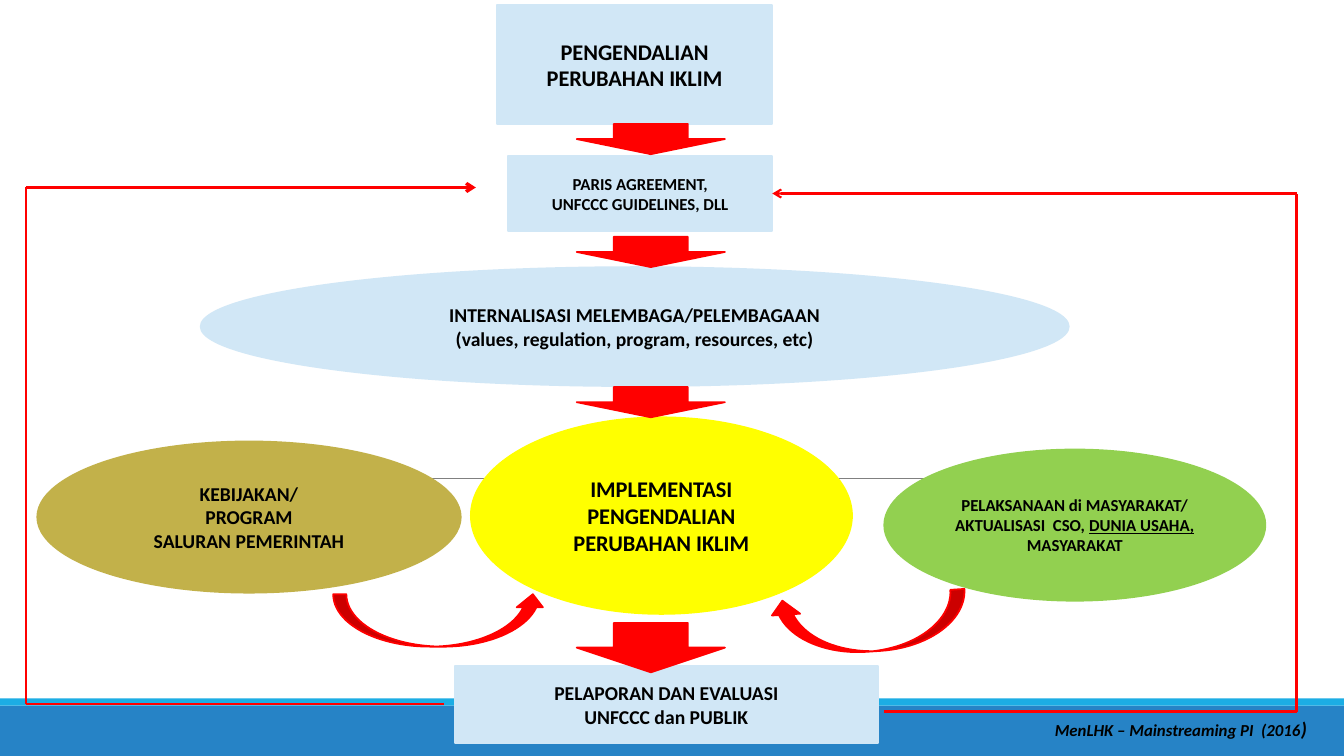
from lxml import etree
from pptx import Presentation
from pptx.dml.color import RGBColor
from pptx.enum import shapes, text
from pptx.oxml.ns import qn
from pptx.util import Emu, Pt

PX = 9144  # 100 px to the inch
WIDTH, HEIGHT = 1333, 750
FONT = "Calibri"

BLACK = RGBColor(0x00, 0x00, 0x00)
RED = RGBColor(0xFF, 0x00, 0x00)
GREY = RGBColor(0x80, 0x80, 0x80)
PALE = RGBColor(0xD1, 0xE7, 0xF6)
YELLOW = RGBColor(0xFF, 0xFF, 0x00)
OLIVE = RGBColor(0xC2, 0xB1, 0x4A)
GREEN = RGBColor(0x92, 0xD0, 0x50)
BLUE = RGBColor(0x26, 0x83, 0xC6)
CYAN = RGBColor(0x1C, 0xAD, 0xE4)

KIND = shapes.MSO_SHAPE
BOX, OVAL = KIND.RECTANGLE, KIND.OVAL

# Content: kind, (left, top, width, height), fill, text size, lines
STAGES = {
    "control": (BOX, (493, 5, 273, 118), PALE, 16,
                ["PENGENDALIAN PERUBAHAN IKLIM"]),
    "implementation": (OVAL, (467, 414, 378, 195), YELLOW, 16,
                       ["IMPLEMENTASI PENGENDALIAN PERUBAHAN IKLIM"]),
    "agreement": (BOX, (504, 155, 262, 74), PALE, 12,
                  ["PARIS AGREEMENT,", "UNFCCC GUIDELINES, DLL"]),
    "internalisation": (OVAL, (199, 265, 861, 118), PALE, 14,
                        ["INTERNALISASI MELEMBAGA/PELEMBAGAAN",
                         "(values, regulation, program, resources, etc)"]),
    "government": (OVAL, (37, 438, 420, 150), OLIVE, 14,
                   ["KEBIJAKAN/", "PROGRAM", "SALURAN PEMERINTAH"]),
    "community": (OVAL, (877, 446, 378, 150), GREEN, 12,
                  ["PELAKSANAAN di MASYARAKAT/",
                   ["AKTUALISASI  CSO, ", "DUNIA USAHA, ", "MASYARAKAT"]]),
    "reporting": (BOX, (451, 661, 420, 76), PALE, 14,
                  ["PELAPORAN DAN EVALUASI", "UNFCCC dan PUBLIK"]),
}
UNDERLINED = "DUNIA USAHA, "
SOURCE = [("MenLHK – Mainstreaming PI  (2016", 12), (")", 14)]

FOOTER_BANDS = [((0, 700, WIDTH, 50), BLUE), ((0, 693, WIDTH, 7), CYAN)]
DOWN_LEFT, DOWN_WIDTH = 572, 147
DOWN_ARROWS = [(123, 30), (235, 30), (384, 30), (618, 49)]  # top, height
CURVED_ARROWS = [((410, 510, 52, 211), 270, False),
                 ((833, 521, 56, 195), 266.3, True)]
# Feedback loops: corner points, width of each leg
LEFT_LOOP = [(440, 698), (26, 698), (26, 186), (472, 186)], [1.5, 1.5, 2.25]
RIGHT_LOOP = [(877, 706), (1286, 706), (1286, 192), (766, 192)], [2.25, 2.25, 1.5]

deck = Presentation()
deck.slide_width, deck.slide_height = Emu(WIDTH * PX), Emu(HEIGHT * PX)
slide = deck.slides.add_slide(deck.slide_layouts[6])


def emu(lengths):
    return [Emu(n * PX) for n in lengths]


def add_block(kind, place, fill, outlined=True):
    block = slide.shapes.add_shape(kind, *emu(place))
    block.shadow.inherit = False
    block.fill.solid()
    block.fill.fore_color.rgb = fill
    if outlined:
        block.line.color.rgb = fill
        block.line.width = Pt(1.25)
    else:
        block.line.fill.background()
    return block


def add_run(paragraph, words, size):
    run = paragraph.add_run()
    run.text = words
    font = run.font
    font.name, font.size, font.bold = FONT, Pt(size), True
    font.color.rgb = BLACK
    return run


def add_line(start, end, color, width, arrow=False):
    line = slide.shapes.add_connector(
        shapes.MSO_CONNECTOR.STRAIGHT, *emu(start + end))
    line.line.color.rgb = color
    line.line.width = Pt(width)
    if arrow:
        etree.SubElement(line.line._get_or_add_ln(), qn("a:tailEnd"), type="arrow")
    etree.SubElement(line._element.spPr, qn("a:effectLst"))
    return line


def add_loop(corners, widths):
    for leg, width in enumerate(widths):
        last = leg == len(widths) - 1
        line = add_line(corners[leg], corners[leg + 1], RED, width, last)
    return line


# Footer bands and divider
for place, color in FOOTER_BANDS:
    add_block(BOX, place, color, outlined=False)
add_line((132, 475), (1212, 475), GREY, 0.5)

# Stages
stage_blocks = {}
for stage, (kind, place, fill, size, lines) in STAGES.items():
    block = stage_blocks[stage] = add_block(kind, place, fill)
    frame = block.text_frame
    frame.word_wrap = True
    frame.vertical_anchor = text.MSO_ANCHOR.MIDDLE
    for i, line in enumerate(lines):
        paragraph = frame.add_paragraph() if i else frame.paragraphs[0]
        paragraph.alignment = text.PP_ALIGN.CENTER
        for words in [line] if isinstance(line, str) else line:
            run = add_run(paragraph, words, size)
            if words == UNDERLINED:
                run.font.underline = True

# Curved arrows into the implementation stage
for place, angle, flipped in CURVED_ARROWS:
    curve = add_block(KIND.CURVED_RIGHT_ARROW, place, RED)
    curve.rotation = angle
    if flipped:
        curve._element.spPr.xfrm.set("flipV", "1")

# Feedback loops
add_loop(*LEFT_LOOP)
add_loop(*RIGHT_LOOP).end_connect(stage_blocks["agreement"], 3)

# Arrows down the main flow
for top, height in DOWN_ARROWS:
    add_block(KIND.DOWN_ARROW, (DOWN_LEFT, top, DOWN_WIDTH, height), RED)

# Source line
source_box = slide.shapes.add_textbox(*emu((877, 706, 429, 34)))
source_box.text_frame.word_wrap = True
credit = source_box.text_frame.paragraphs[0]
credit.alignment = text.PP_ALIGN.RIGHT
for words, size in SOURCE:
    add_run(credit, words, size).font.italic = True

deck.save("out.pptx")
